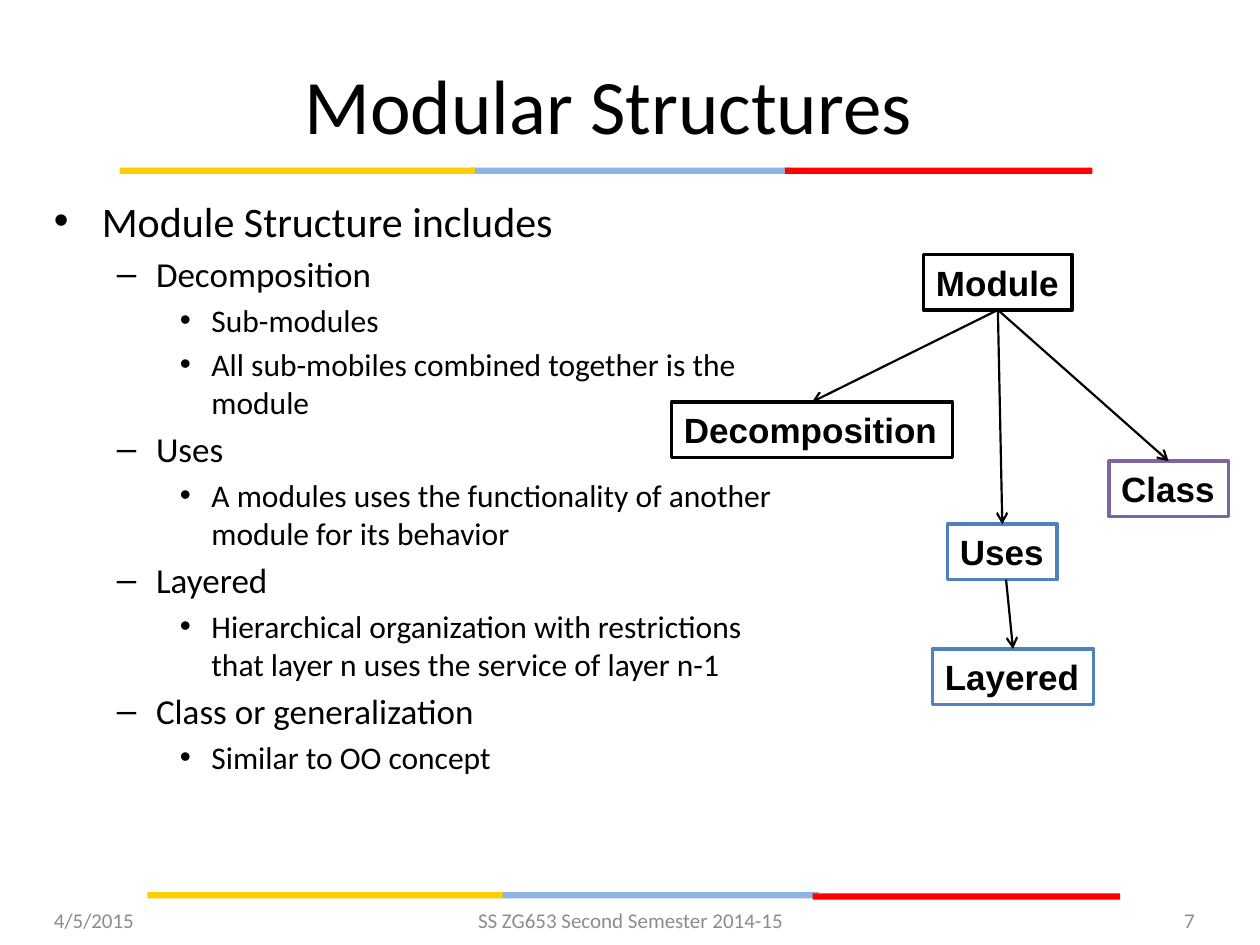
from dataclasses import dataclass

from lxml import etree
from pptx import Presentation
from pptx.dml.color import RGBColor
from pptx.enum.shapes import MSO_CONNECTOR, MSO_SHAPE
from pptx.enum.text import MSO_ANCHOR, MSO_AUTO_SIZE, PP_ALIGN
from pptx.oxml.ns import qn
from pptx.util import Inches, Pt

RECT = MSO_SHAPE.RECTANGLE
LINE = MSO_CONNECTOR.STRAIGHT
LEFT, CENTER, RIGHT = PP_ALIGN.LEFT, PP_ALIGN.CENTER, PP_ALIGN.RIGHT
MIDDLE = MSO_ANCHOR.MIDDLE
GROW = MSO_AUTO_SIZE.SHAPE_TO_FIT_TEXT
TOP, BOTTOM = 0, 2


@dataclass(frozen=True)
class Theme:
    black: str = "000000"
    white: str = "FFFFFF"
    gold: str = "FFCE00"
    sky: str = "8EB4E3"
    red: str = "FF0000"
    blue: str = "4F81BD"
    purple: str = "8064A2"
    gray: str = "8C8C8C"
    text: str = "Calibri"
    label: str = "Arial"
    title: int = 44
    node: int = 20
    foot: int = 12


THEME = Theme()

# Outline levels: text size, left margin, hanging indent, bullet
LEVELS = [
    (24, 0.38, -0.38, "•"),
    (20, 0.81, -0.31, "–"),
    (18, 1.25, -0.25, "•"),
]

OUTLINE = [
    (0, "Module Structure includes"),
    (1, "Decomposition"),
    (2, "Sub-modules"),
    (2, "All sub-mobiles combined together is the module"),
    (1, "Uses"),
    (2, "A modules uses the functionality of another module for its behavior"),
    (1, "Layered"),
    (2, "Hierarchical organization with restrictions that layer n uses "
        "the service of layer n-1"),
    (1, "Class or generalization"),
    (2, "Similar to OO concept"),
]

# Diagram boxes: name, left, top, width, outline
NODES = [
    ("Module", 7.33, 2.02, 1.18, THEME.black),
    ("Decomposition", 5.33, 3.19, 2.23, THEME.black),
    ("Uses", 7.52, 4.16, 0.87, THEME.blue),
    ("Layered", 7.4, 5.15, 1.28, THEME.blue),
    ("Class", 8.8, 3.66, 0.95, THEME.purple),
]

FOOTER = [
    ("4/5/2015", 0.33, 2.33, LEFT),
    ("SS ZG653 Second Semester 2014-15", 3.42, 3.17, CENTER),
    ("7", 7.25, 2.33, RIGHT),
]


def place(shape, left, top, width, height):
    box = dict(left=left, top=top, width=width, height=height)
    for key, value in box.items():
        setattr(shape, key, Inches(value))


def write(para, text, size, color=THEME.black, name=THEME.text, bold=False):
    run = para.add_run()
    run.text = text
    style = dict(size=Pt(size), name=name, bold=bold)
    for key, value in style.items():
        setattr(run.font, key, value)
    run.font.color.rgb = RGBColor.from_string(color)


def add_rect(slide, left, top, width, height, fill):
    shape = slide.shapes.add_shape(
        RECT, Inches(left), Inches(top), Inches(width), Inches(height))
    shape.shadow.inherit = False
    shape.fill.solid()
    shape.fill.fore_color.rgb = RGBColor.from_string(fill)
    shape.line.fill.background()
    return shape


def add_rule(slide, left, top, drop=0):
    """Three-colour rule; the red part may sit a little lower."""
    parts = [(2.78, 2.55, 0, THEME.sky), (5.28, 2.44, drop, THEME.red),
             (0, 2.82, 0, THEME.gold)]
    for shift, width, down, fill in parts:
        add_rect(slide, left + shift, top + down, width, 0.05, fill)


def add_title(slide, text):
    title = slide.shapes.title
    place(title, 0.33, 0.31, 9, 1.03)
    frame = title.text_frame
    frame.vertical_anchor = MIDDLE
    para = frame.paragraphs[0]
    para.alignment = CENTER
    write(para, text, THEME.title)


def add_text(slide, left, top, width, height):
    box = slide.shapes.add_textbox(
        Inches(left), Inches(top), Inches(width), Inches(height))
    box.text_frame.word_wrap = True
    return box.text_frame


def add_bullet(para, left, indent, mark):
    props = para._p.get_or_add_pPr()
    props.set("marL", str(Inches(left)))
    props.set("indent", str(Inches(indent)))
    etree.SubElement(props, qn("a:buFont")).set("typeface", THEME.label)
    etree.SubElement(props, qn("a:buChar")).set("char", mark)


def add_outline(slide):
    frame = add_text(slide, 0.33, 1.5, 6.08, 5.5)
    for row, (level, text) in enumerate(OUTLINE):
        para = frame.add_paragraph() if row else frame.paragraphs[0]
        size, left, indent, mark = LEVELS[level]
        para.level = level
        para.space_before = Pt(size * 0.2)
        add_bullet(para, left, indent, mark)
        write(para, text, size)


def add_node(slide, name, left, top, width, color):
    node = add_rect(slide, left, top, width, 0.44, THEME.white)
    node.line.color.rgb = RGBColor.from_string(color)
    node.line.width = Pt(2)
    frame = node.text_frame
    frame.word_wrap = False
    frame.auto_size = GROW
    para = frame.paragraphs[0]
    para.alignment = LEFT
    write(para, name, THEME.node, name=THEME.label, bold=True)
    return node


def add_arrow(slide, start, end, shift=0):
    """Arrow from the bottom of one box to the top of another."""
    line = slide.shapes.add_connector(
        LINE, start.left + start.width // 2 + Inches(shift),
        start.top + start.height, end.left, end.top)
    if not shift:
        line.begin_connect(start, BOTTOM)
    line.end_connect(end, TOP)
    line.line.color.rgb = RGBColor.from_string(THEME.black)
    line.line.width = Pt(1.25)
    etree.SubElement(line.line._ln, qn("a:tailEnd")).set("type", "arrow")
    etree.SubElement(line._element.spPr, qn("a:effectLst"))


def add_footer(slide):
    for text, left, width, align in FOOTER:
        frame = add_text(slide, left, 7.1, width, 0.4)
        frame.vertical_anchor = MIDDLE
        para = frame.paragraphs[0]
        para.alignment = align
        write(para, text, THEME.foot, THEME.gray)


def main():
    deck = Presentation()
    deck.slide_width, deck.slide_height = Inches(10), Inches(7.5)
    slide = deck.slides.add_slide(deck.slide_layouts[5])

    # Rules, title and outline
    add_rule(slide, 0.95, 1.33)
    add_rule(slide, 1.17, 7.08, 0.01)
    add_title(slide, "Modular Structures")
    add_outline(slide)

    # Module diagram
    nodes = {node[0]: add_node(slide, *node) for node in NODES}
    for name in ("Decomposition", "Uses", "Class"):
        add_arrow(slide, nodes["Module"], nodes[name])
    add_arrow(slide, nodes["Uses"], nodes["Layered"], 0.03)

    add_footer(slide)
    deck.save("out.pptx")


if __name__ == "__main__":
    main()
